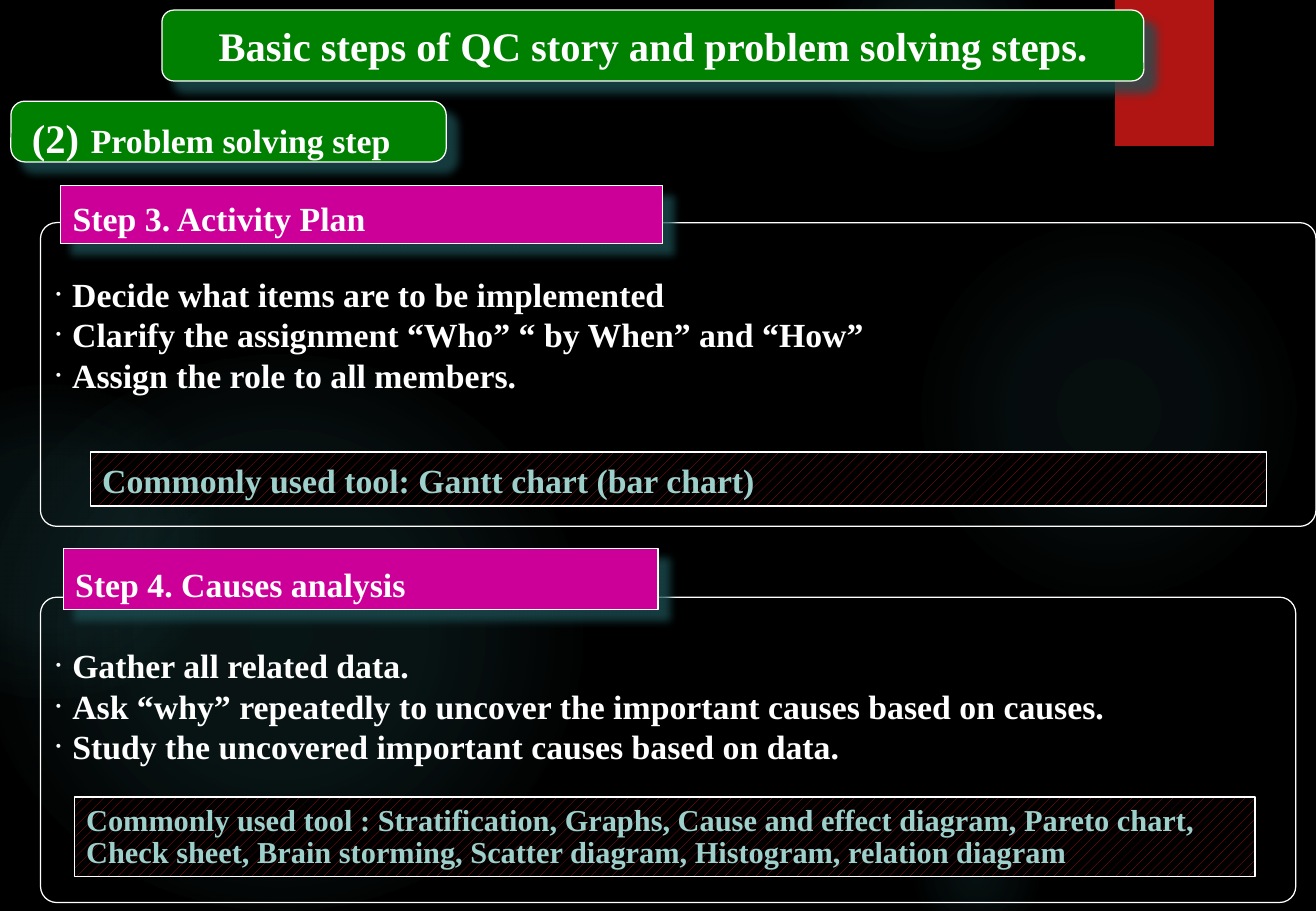
from lxml.etree import SubElement
from pptx import Presentation
from pptx.dml.color import RGBColor
from pptx.enum.dml import MSO_PATTERN
from pptx.enum.shapes import MSO_SHAPE
from pptx.enum.text import MSO_ANCHOR, MSO_AUTO_SIZE, PP_ALIGN
from pptx.oxml import parse_xml
from pptx.oxml.ns import nsdecls, qn
from pptx.util import Pt

FONT = "Times New Roman"
WHITE, BLACK, RED, TEAL = "FFFFFF", "000000", "B01513", "9DD0CB"
GREEN, MAGENTA, GLOW, SHADE = "008000", "CC0099", "50B9C1", "1E5155"

# Left, top, width, height; then (position, opacity) stops in percent
GLOWS = [
    ((537, 132, 240.5, 222), [(0, 7), (36, 6), (69, 0)]),
    ((485, -36, 137, 126), [(0, 14), (36, 7), (73, 0)]),
    ((537, 480, 84, 78), [(0, 9), (36, 5), (66, 0)]),
    ((-13, 210, 358, 330), [(0, 11), (36, 10), (75, 0)]),
    ((-71, 228, 201.5, 186), [(0, 8), (36, 8), (72, 0)]),
]

STEPS = [
    {
        "panel": (24, 132, 756, 180), "top": 27.5,
        "points": ["Decide what items are to be implemented",
                   "Clarify the assignment “Who” “ by When” and “How”",
                   "Assign the role to all members."],
        "tab": (36, 110, 356.5, 34.5), "heading": "Step 3. Activity Plan",
        "tool_box": (53.5, 268, 697, 32), "tool_size": 20, "spacing": 1,
        "tool": "Commonly used tool: Gantt chart (bar chart)",
    },
    {
        "panel": (24, 354, 744, 181), "top": 25.5,
        "points": ["Gather all related data.",
                   "Ask “why” repeatedly to uncover the important causes based on causes.",
                   "Study the uncovered important causes based on data."],
        "tab": (37.5, 325, 352.5, 36.5), "heading": "Step 4. Causes analysis",
        "tool_box": (44, 472.5, 700, 47), "tool_size": 18, "spacing": 0.9,
        "tool": "Commonly used tool : Stratification, Graphs, Cause and effect "
                "diagram, Pareto chart, Check sheet, Brain storming, Scatter "
                "diagram, Histogram, relation diagram",
    },
]


def rgb(value):
    return RGBColor.from_string(value)


def points(box):
    return [Pt(length) for length in box]


def apply(target, formats):
    for name, value in formats.items():
        setattr(target, name, value)


def add_box(slide, kind, box, fill=None, line=WHITE, corner=None):
    shape = slide.shapes.add_shape(kind, *points(box))
    shape.shadow.inherit = False
    if corner is not None:
        shape.adjustments[0] = corner
    if fill:
        shape.fill.solid()
        shape.fill.fore_color.rgb = rgb(fill)
    else:
        shape.fill.background()
    if line:
        shape.line.color.rgb = rgb(line)
        shape.line.width = Pt(0.75)
    else:
        shape.line.fill.background()
    return shape


def add_shadow(shape, color, opacity, blur, distance, angle):
    effects = shape._element.spPr.find(qn("a:effectLst"))
    effects.append(parse_xml(
        f'<a:outerShdw {nsdecls("a")} blurRad="{Pt(blur)}" dist="{Pt(distance)}" '
        f'dir="{angle * 60000}" algn="tl" rotWithShape="0"><a:srgbClr val="{color}">'
        f'<a:alpha val="{opacity * 1000}"/></a:srgbClr></a:outerShdw>'))


def add_glow(slide, box, stops):
    glow = add_box(slide, MSO_SHAPE.OVAL, box, line=None)
    stop_xml = "".join(
        f'<a:gs pos="{position * 1000}"><a:srgbClr val="{GLOW}">'
        f'<a:alpha val="{opacity * 1000}"/></a:srgbClr></a:gs>'
        for position, opacity in stops)
    gradient = parse_xml(
        f'<a:gradFill {nsdecls("a")}><a:gsLst>{stop_xml}</a:gsLst><a:path path="circle">'
        '<a:fillToRect l="50000" t="50000" r="50000" b="50000"/></a:path></a:gradFill>')
    properties = glow._element.spPr
    properties.replace(properties.find(qn("a:noFill")), gradient)


def write(shape, paragraphs, color=WHITE, bullet=None, align=PP_ALIGN.LEFT,
          spacing=1, **frame_formats):
    """Fill a shape with paragraphs, each a list of (text, size) runs."""
    frame = shape.text_frame
    apply(frame, {"word_wrap": True, "auto_size": MSO_AUTO_SIZE.NONE,
                  "vertical_anchor": MSO_ANCHOR.BOTTOM, **frame_formats})
    for index, runs in enumerate(paragraphs):
        paragraph = frame.add_paragraph() if index else frame.paragraphs[0]
        apply(paragraph, {"alignment": align, "line_spacing": spacing,
                          "space_before": Pt(0)})
        if bullet:
            properties = paragraph._p.get_or_add_pPr()
            properties.set("marL", str(Pt(11.5)))
            properties.set("indent", str(-Pt(11.5)))
            SubElement(properties, qn("a:buFont")).set("typeface", FONT)
            SubElement(properties, qn("a:buChar")).set("char", bullet)
        for text, size in runs:
            run = paragraph.add_run()
            run.text = text
            apply(run.font, {"name": FONT, "size": Pt(size), "bold": True})
            run.font.color.rgb = rgb(color)


def add_raised(slide, kind, box, fill, corner=None):
    shape = add_box(slide, kind, box, fill, corner=corner)
    add_shadow(shape, SHADE, 75, 5, 8.5, 45)
    return shape


def add_step(slide, step):
    # Panel with its list
    panel = add_box(slide, MSO_SHAPE.ROUNDED_RECTANGLE, step["panel"], corner=0.053)
    write(panel, [[(point, 20)] for point in step["points"]], bullet="·",
          vertical_anchor=MSO_ANCHOR.TOP, margin_left=Pt(4.5),
          margin_top=Pt(step["top"]))

    # Heading tab
    tab = add_raised(slide, MSO_SHAPE.RECTANGLE, step["tab"], MAGENTA)
    write(tab, [[(step["heading"], 20)]])

    # Tool note
    tool = add_box(slide, MSO_SHAPE.RECTANGLE, step["tool_box"])
    tool.fill.patterned()
    tool.fill.pattern = MSO_PATTERN.PERCENT_20
    tool.fill.fore_color.rgb = rgb(RED)
    tool.fill.back_color.rgb = rgb(BLACK)
    write(tool, [[(step["tool"], step["tool_size"])]], TEAL, spacing=step["spacing"])


def add_title(slide):
    box = (96, 6, 582, 42)
    add_raised(slide, MSO_SHAPE.ROUNDED_RECTANGLE, box, GREEN, 0.167)
    title = slide.shapes.title
    apply(title, dict(zip(("left", "top", "width", "height"), points(box))))
    write(title, [[("Basic steps of QC story and problem solving steps.", 24)]],
          align=PP_ALIGN.CENTER, vertical_anchor=MSO_ANCHOR.MIDDLE, word_wrap=False)
    slide.shapes._spTree.append(title._element)  # bring in front of its panel


def add_section_label(slide):
    add_raised(slide, MSO_SHAPE.ROUNDED_RECTANGLE, (6.5, 60, 258, 36), GREEN, 0.229)
    label = slide.shapes.add_textbox(*points((0, 59, 250.5, 41)))
    write(label, [[("(2)", 24), (" ", 28), ("Problem solving step", 20)]],
          align=PP_ALIGN.CENTER)


def main():
    presentation = Presentation()
    apply(presentation, {"slide_width": Pt(780), "slide_height": Pt(540)})
    slide = presentation.slides.add_slide(presentation.slide_layouts[5])

    # Backdrop
    slide.background.fill.solid()
    slide.background.fill.fore_color.rgb = rgb(BLACK)
    for box, stops in GLOWS:
        add_glow(slide, box, stops)
    ribbon = add_box(slide, MSO_SHAPE.RECTANGLE, (661, 0, 58.5, 86.5), RED, None)
    add_shadow(ribbon, BLACK, 45, 3, 2, 90)

    # Content
    for step in STEPS:
        add_step(slide, step)
    add_title(slide)
    add_section_label(slide)
    presentation.save("out.pptx")


if __name__ == "__main__":
    main()
